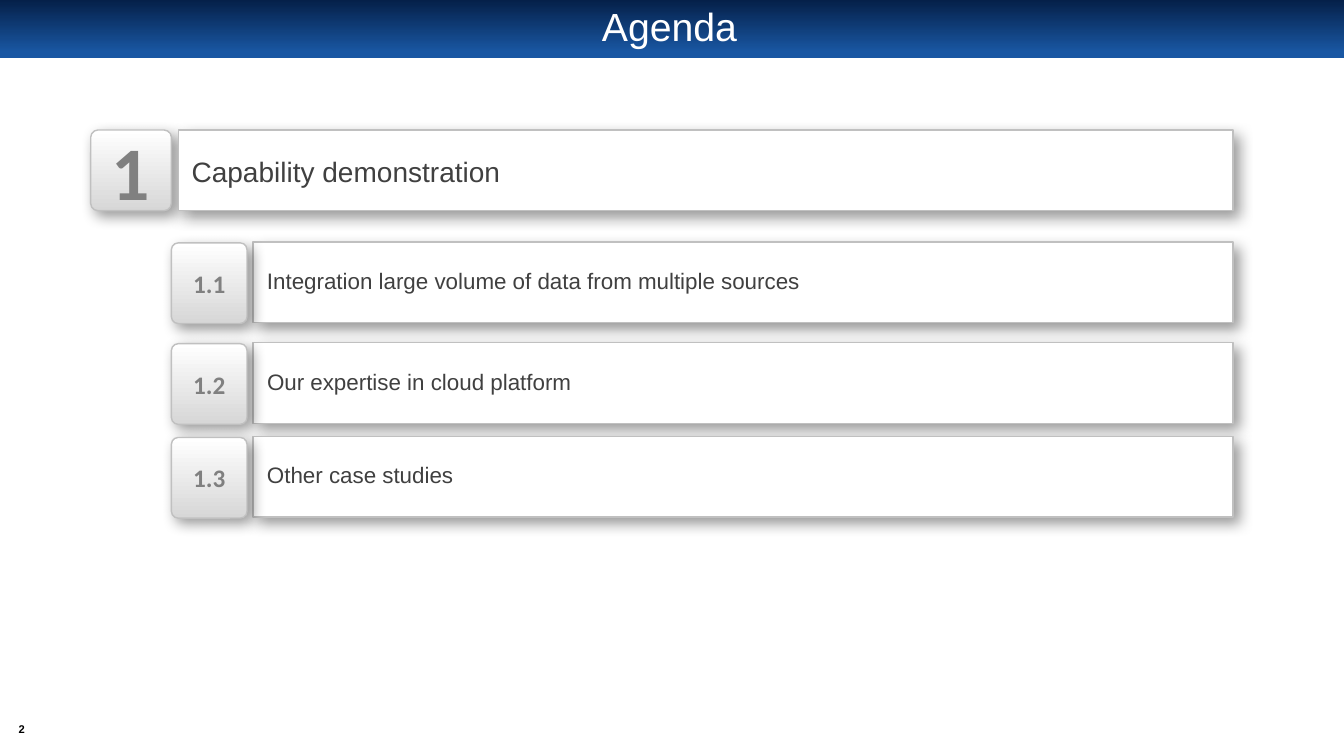
from lxml import etree
from pptx import Presentation
from pptx import util as u
from pptx.dml.color import RGBColor
from pptx.enum import shapes, text
from pptx.oxml import ns

PX = u.Inches(0.01)
COLOURS = {"night": "052049", "blue": "1957A3", "white": "FFFFFF", "silver": "D7D7D7",
           "edge": "C0C0C0", "number": "808080", "wording": "404040", "black": "000000"}
SECTIONS = [(240, "1.1", "Integration large volume of data from multiple sources", 556),
            (340, "1.2", "Our expertise in cloud platform", 338),
            (433, "1.3", "Other case studies", 214)]
MIDDLE = {"vertical_anchor": text.MSO_ANCHOR.MIDDLE}
TIGHT = {f"margin_{side}": 0 for side in ("left", "top", "right", "bottom")}
CENTRED = {"alignment": text.PP_ALIGN.CENTER}


def colour(name):
    """Return the named colour."""
    return RGBColor.from_string(COLOURS[name])


def apply(target, values):
    """Set every attribute in values on target."""
    for name, value in values.items():
        setattr(target, name, value)


def px(*lengths):
    """Turn px lengths into EMU."""
    return [length * PX for length in lengths]


def write(holder, words, tint, font, frame, paragraph):
    """Write one formatted paragraph into a shape."""
    apply(holder.text_frame, frame)
    line = holder.text_frame.paragraphs[0]
    apply(line, paragraph)
    run = line.add_run()
    run.text = words
    apply(run.font, font)
    run.font.color.rgb = colour(tint)


def shade(fill, stops, angle):
    """Fill with a two-stop linear gradient."""
    fill.gradient()
    fill.gradient_angle = angle
    for stop, (tint, position) in zip(fill.gradient_stops, stops):
        stop.color.rgb = colour(tint)
        stop.position = position


def raise_edge(shape):
    """Give a shape its grey outline and soft drop shadow."""
    shape.line.color.rgb = colour("edge")
    shape.line.width = u.Pt(1)
    shape.shadow.inherit = False
    effects = shape._element.spPr.find(ns.qn("a:effectLst"))
    shadow = etree.SubElement(effects, ns.qn("a:outerShdw"), blurRad=str(u.Pt(10)),
                              dist=str(u.Pt(5)), dir="2700000", algn="tl", rotWithShape="0")
    tint = etree.SubElement(shadow, ns.qn("a:srgbClr"), val=COLOURS["black"])
    etree.SubElement(tint, ns.qn("a:alpha"), val="40000")


def add_badge(row, box, number, size):
    """Add the rounded number badge of a row."""
    badge = row.shapes.add_shape(shapes.MSO_SHAPE.ROUNDED_RECTANGLE, *px(*box))
    badge.adjustments[0] = 0.09
    shade(badge.fill, [("silver", 0), ("white", 1)], 90)
    raise_edge(badge)
    write(badge, number, "number", {"size": u.Pt(size), "name": "Calibri", "bold": True},
          MIDDLE | TIGHT, CENTRED)


def add_panel(row, box):
    """Add the white panel of a row."""
    panel = row.shapes.add_shape(shapes.MSO_SHAPE.RECTANGLE, *px(*box))
    panel.fill.solid()
    panel.fill.fore_color.rgb = colour("white")
    raise_edge(panel)


def add_label(row, box, words, size, frame):
    """Add the wording of a row."""
    label = row.shapes.add_textbox(*px(*box))
    write(label, words, "wording", {"size": u.Pt(size), "name": "Arial"},
          frame | {"auto_size": text.MSO_AUTO_SIZE.SHAPE_TO_FIT_TEXT}, {})


def add_chapter(slide, left, top, width, height, number, words):
    """Add a chapter row: large badge, panel and wording."""
    row = slide.shapes.add_group_shape()
    add_badge(row, (left, top, height, height), number, 54)
    add_panel(row, (left + 87, top, width - 87, height))
    add_label(row, (left + 100, top + 24, width - 114, 34), words, 20,
              MIDDLE | TIGHT | {"word_wrap": True})


def add_section(slide, left, top, width, height, number, words, label_width):
    """Add a section row: panel, small badge and wording."""
    row = slide.shapes.add_group_shape()
    add_panel(row, (left + 81, top, width - 81, height))
    add_badge(row, (left, top + 1, 75, height), number, 18)
    add_label(row, (left + 85, top + 20, label_width, 37), words, 16, {"word_wrap": False})


def add_header(slide, left, top, width, height):
    """Add the blue band and set the title on it."""
    band = slide.shapes.add_shape(shapes.MSO_SHAPE.RECTANGLE, *px(left, top, width, height))
    shade(band.fill, [("night", 0), ("blue", 0.9)], 270)
    band.line.fill.background()
    band.shadow.inherit = False
    title = slide.shapes.title
    band._element.addnext(title._element)
    place = px(left + 66, top + 6, width - 137, height - 13)
    apply(title, dict(zip(("left", "top", "width", "height"), place)))
    write(title, "Agenda", "white", {"size": u.Pt(28), "name": "Arial"},
          MIDDLE | {"auto_size": text.MSO_AUTO_SIZE.NONE}, CENTRED | {"line_spacing": 0.9})


def add_page_number(slide, left, top, width, height):
    """Add the page number."""
    page = slide.shapes.add_textbox(*px(left, top, width, height))
    write(page, "2", "black", {"size": u.Pt(8), "name": "Arial", "bold": True},
          MIDDLE | TIGHT | {"word_wrap": False}, CENTRED)


def main():
    """Build and save the agenda slide."""
    deck = Presentation()
    apply(deck, {"slide_width": 1333 * PX, "slide_height": 750 * PX})
    slide = deck.slides.add_slide(deck.slide_layouts[5])
    add_header(slide, 0, 0, 1333, 58)
    add_page_number(slide, 9, 714, 25, 19)
    add_chapter(slide, 90, 129, 1133, 80, "1", "Capability demonstration")
    for top, number, words, label_width in SECTIONS:
        add_section(slide, 170, top, 1053, 80, number, words, label_width)
    deck.save("out.pptx")


if __name__ == "__main__":
    main()
